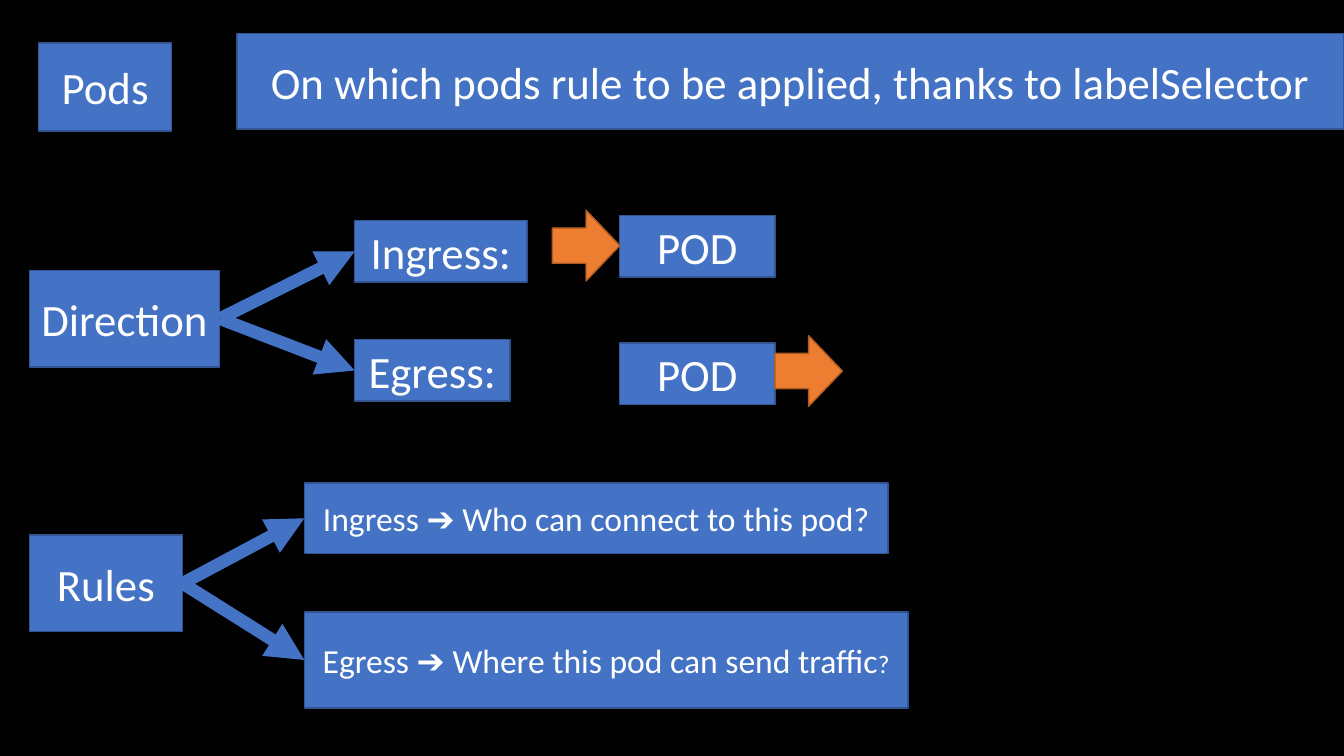
"""Build a slide on the pods, direction and rules of a network policy."""
from lxml import etree
from pptx import Presentation
from pptx.dml.color import RGBColor
from pptx.enum import shapes, text
from pptx.oxml.ns import qn
from pptx.util import Cm, Pt

BLACK = RGBColor(0x00, 0x00, 0x00)
WHITE = RGBColor(0xFF, 0xFF, 0xFF)
BLUE = RGBColor(0x44, 0x72, 0xC4)
BLUE_EDGE = RGBColor(0x32, 0x54, 0x91)
ORANGE = RGBColor(0xED, 0x7D, 0x31)
ORANGE_EDGE = RGBColor(0xAF, 0x5C, 0x24)

LEFT, POD_LEFT, RULE_LEFT, WAY_LEFT = 0.74, 15.62, 7.67, 8.94
POD_W, SMALL_H, ARROW_W, ARROW_H = 3.91, 1.55, 1.7, 1.78

BOXES = {
    "selector": (5.97, 0.84, 27.9, 2.41,
                 [("On which pods rule to be applied, thanks to labelSelector", 32)]),
    "pods": (0.97, 1.08, 3.36, 2.22, [("Pods", 32)]),
    "direction": (LEFT, 6.81, 4.8, 2.44, [("Direction", 32)]),
    "ingress": (WAY_LEFT, 5.56, 4.34, SMALL_H, [("Ingress:", 32)]),
    "egress": (WAY_LEFT, 8.56, 3.91, SMALL_H, [("Egress:", 32)]),
    "pod in": (POD_LEFT, 5.43, POD_W, SMALL_H, [("POD", 32)]),
    "pod out": (POD_LEFT, 8.64, POD_W, SMALL_H, [("POD", 32)]),
    "rules": (LEFT, 13.48, 3.86, 2.44, [("Rules", 32)]),
    "who": (RULE_LEFT, 12.17, 14.71, 1.78,
            [("Ingress ➔ Who can connect to this pod?", 24)]),
    "where": (RULE_LEFT, 15.42, 15.21, 2.42,
              [("Egress ➔ Where this pod can send traffic", 24), ("?", 18)]),
}
TRAFFIC = [(POD_LEFT - ARROW_W, 5.3), (POD_LEFT + POD_W, 8.46)]
BRANCHES = {"direction": ("ingress", "egress"), "rules": ("who", "where")}


def add_block(s, kind, place, fill, edge):
    """Add a filled, outlined shape without a shadow."""
    sp = s.shapes.add_shape(kind, *map(Cm, place))
    sp.shadow.inherit = False
    sp.fill.solid()
    sp.fill.fore_color.rgb = fill
    sp.line.color.rgb = edge
    sp.line.width = Pt(1)
    return sp


def add_box(s, place, runs):
    """Add a blue box with centred white text."""
    sp = add_block(s, shapes.MSO_SHAPE.RECTANGLE, place, BLUE, BLUE_EDGE)
    tf = sp.text_frame
    tf.word_wrap = True
    tf.vertical_anchor = text.MSO_ANCHOR.MIDDLE
    p = tf.paragraphs[0]
    p.alignment = text.PP_ALIGN.CENTER
    for words, size in runs:
        r = p.add_run()
        r.text = words
        for name, value in {"name": "Calibri", "size": Pt(size)}.items():
            setattr(r.font, name, value)
        r.font.color.rgb = WHITE
    return sp


def add_branch(s, start, end):
    """Join the right side of one box to the left side of another."""
    c = s.shapes.add_connector(shapes.MSO_CONNECTOR.STRAIGHT, 0, 0, 0, 0)
    c.begin_connect(start, 3)
    c.end_connect(end, 1)
    c.line.color.rgb = BLUE
    c.line.width = Pt(9)
    etree.SubElement(c.line._get_or_add_ln(), qn("a:tailEnd"), type="triangle")
    etree.SubElement(c._element.spPr, qn("a:effectLst"))


def main():
    """Lay out the slide and save it."""
    prs = Presentation()
    prs.slide_width, prs.slide_height = Cm(33.87), Cm(19.05)
    s = prs.slides.add_slide(prs.slide_layouts[6])
    s.background.fill.solid()
    s.background.fill.fore_color.rgb = BLACK

    boxes = {name: add_box(s, place, runs) for name, (*place, runs) in BOXES.items()}
    for left, top in TRAFFIC:
        add_block(s, shapes.MSO_SHAPE.RIGHT_ARROW, (left, top, ARROW_W, ARROW_H),
                  ORANGE, ORANGE_EDGE)
    for start, ends in BRANCHES.items():
        for end in ends:
            add_branch(s, boxes[start], boxes[end])
    prs.save("out.pptx")


if __name__ == "__main__":
    main()
